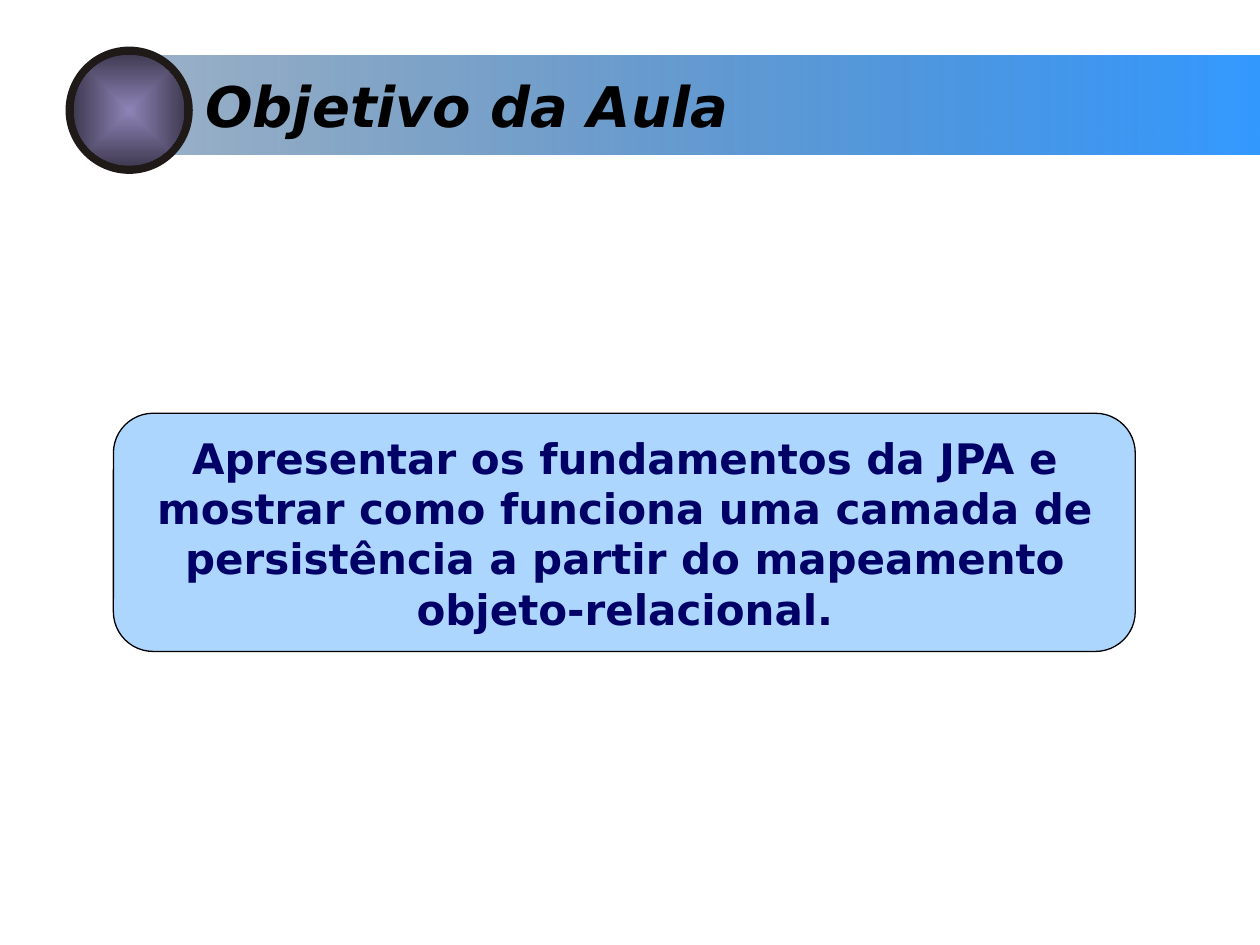
from dataclasses import dataclass

from lxml import etree
from pptx import Presentation, util as u
from pptx.dml.color import RGBColor
from pptx.enum import shapes, text
from pptx.oxml.ns import qn


@dataclass(frozen=True)
class Theme:
    font: str = "DejaVu Sans"
    title_size: int = 32
    body_size: int = 24
    title: str = "000000"
    body: str = "000066"
    outline: str = "000000"
    accent: str = "3399FF"
    accent_dark: str = "194D81"
    ring: str = "1F1A17"
    ball_light: str = "8E84B7"
    ball_dark: str = "413C54"


class SlideBuilder:
    """Places elements on a grid of 100 columns by 75 rows."""

    columns, rows = 100, 75

    def __init__(self, presentation, theme):
        self.theme = theme
        self.column = presentation.slide_width / self.columns
        self.row = presentation.slide_height / self.rows
        self.slide = presentation.slides.add_slide(presentation.slide_layouts[6])

    def place(self, left, top, width, height):
        return (round(left * self.column), round(top * self.row),
                round(width * self.column), round(height * self.row))

    def shape(self, kind, box):
        shape = self.slide.shapes.add_shape(kind, *self.place(*box))
        shape.shadow.inherit = False
        shape.line.fill.background()
        return shape

    def solid(self, kind, box, color, opacity=100):
        shape = self.shape(kind, box)
        shape.fill.solid()
        shape.fill.fore_color.rgb = RGBColor.from_string(color)
        self.set_opacity(shape.fill._xPr.find(qn("a:solidFill")), opacity)
        return shape

    def gradient(self, kind, box, start, end, end_opacity=100):
        shape = self.shape(kind, box)
        shape.fill.gradient()
        shape.fill.gradient_angle = 180
        for stop, color in zip(shape.fill.gradient_stops, (start, end)):
            stop.color.rgb = RGBColor.from_string(color)
        last_stop = shape.fill._xPr.findall(".//" + qn("a:gs"))[-1]
        self.set_opacity(last_stop, end_opacity)
        return shape

    def set_opacity(self, parent, percent):
        if percent < 100:
            color = parent.find(qn("a:srgbClr"))
            etree.SubElement(color, qn("a:alpha"), val=str(percent * 1000))

    def spread_from_centre(self, shape):
        """Turns a linear gradient into a rectangular one."""
        linear = shape.fill._xPr.find(".//" + qn("a:lin"))
        centred = etree.Element(qn("a:path"), path="rect")
        etree.SubElement(centred, qn("a:fillToRect"),
                         {side: "50000" for side in "ltrb"})
        linear.getparent().replace(linear, centred)

    def bar(self, box):
        self.gradient(shapes.MSO_SHAPE.RECTANGLE, box,
                      self.theme.accent, self.theme.accent_dark, 44)

    def panel(self, box):
        panel = self.solid(shapes.MSO_SHAPE.ROUNDED_RECTANGLE, box,
                           self.theme.accent, 40)
        panel.adjustments[0] = 0.167
        panel.line.color.rgb = RGBColor.from_string(self.theme.outline)
        panel.line.width = u.Pt(0.75)

    def ball(self, left, top, size, rim):
        """A ring whose inner half is covered by a shaded disc."""
        ring = self.solid(shapes.MSO_SHAPE.DONUT, (left, top, size, size),
                          self.theme.ring)
        ring.adjustments[0] = 2 * rim / size
        disc_size = size - 2 * rim
        disc = self.gradient(shapes.MSO_SHAPE.OVAL,
                             (left + rim, top + rim, disc_size, disc_size),
                             self.theme.ball_light, self.theme.ball_dark)
        self.spread_from_centre(disc)

    def text(self, box, words, size, color, italic=None,
             align=text.PP_ALIGN.LEFT):
        frame = self.slide.shapes.add_textbox(*self.place(*box)).text_frame
        frame.word_wrap = True
        frame.auto_size = text.MSO_AUTO_SIZE.SHAPE_TO_FIT_TEXT
        paragraph = frame.paragraphs[0]
        paragraph.text = words
        paragraph.alignment = align
        font = paragraph.font
        font.name, font.size = self.theme.font, u.Pt(size)
        font.bold, font.italic = True, italic
        font.color.rgb = RGBColor.from_string(color)


def main():
    presentation = Presentation()
    presentation.slide_width = u.Inches(10)
    presentation.slide_height = u.Inches(7.5)
    theme = Theme()
    builder = SlideBuilder(presentation, theme)

    builder.bar((12.2, 4.4, 87.8, 7.9))
    builder.text((15.3, 5.2, 84.7, 6.4), "Objetivo da Aula",
                 theme.title_size, theme.title, italic=True)
    builder.panel((9, 32.8, 81.1, 18.9))
    builder.text((9.9, 33.8, 79.4, 13),
                 "Apresentar os fundamentos da JPA e mostrar como funciona "
                 "uma camada de persistência a partir do mapeamento "
                 "objeto-relacional.",
                 theme.body_size, theme.body, align=text.PP_ALIGN.CENTER)
    builder.ball(5.2, 3.7, 10.1, 0.65)

    presentation.save("out.pptx")


if __name__ == "__main__":
    main()
